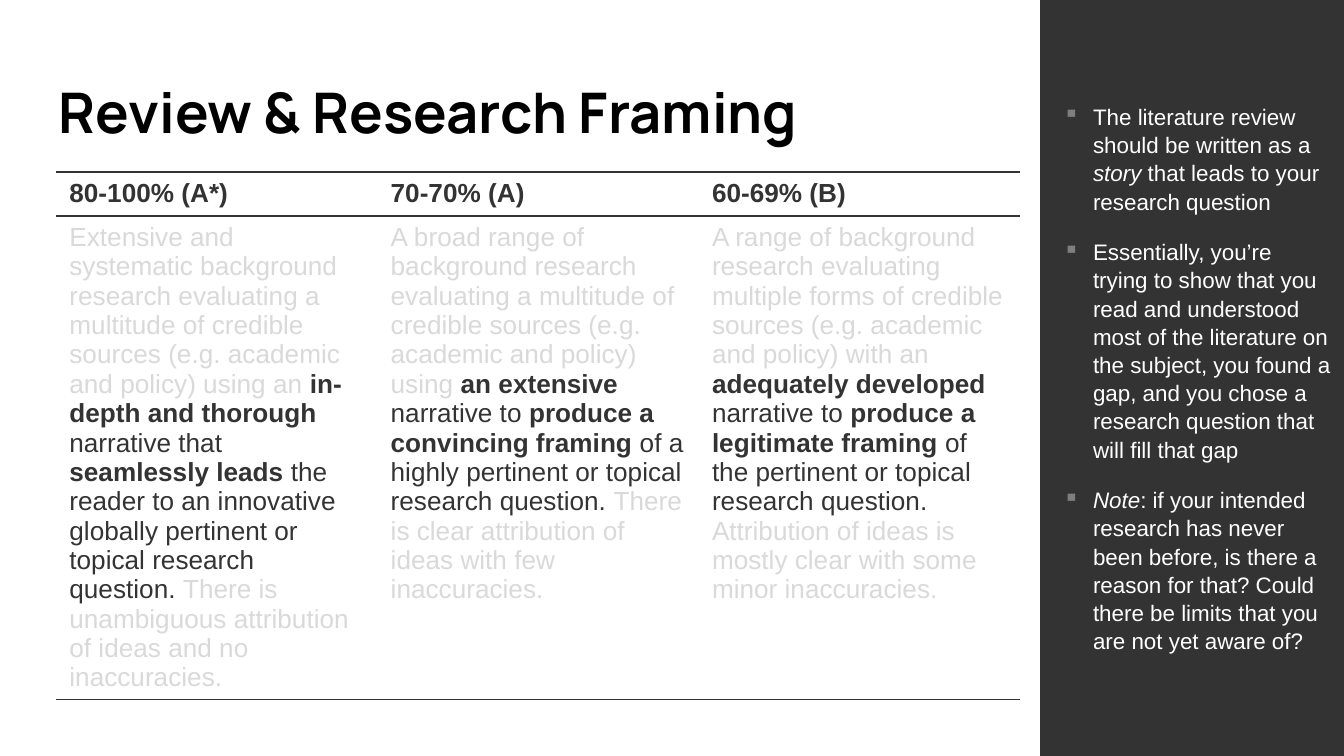
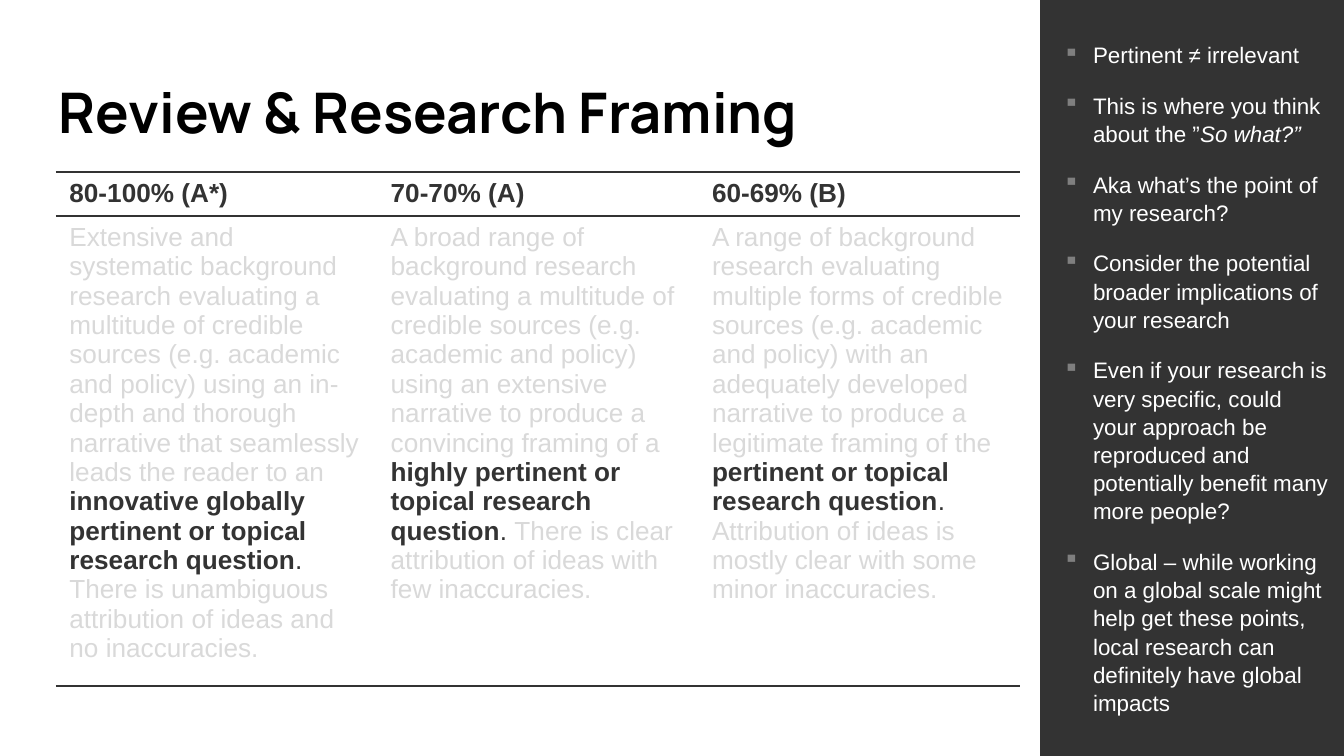
import itertools
from dataclasses import dataclass

import pptx
import pptx.dml.color
import pptx.enum.shapes
import pptx.enum.text
import pptx.oxml
import pptx.oxml.ns
import pptx.util
from lxml import etree

EMU_PER_PX = 914400 / 134.4


@dataclass(frozen=True)
class Theme:
    ink: str = "333333"
    faded: str = "D9D9D9"
    white: str = "FFFFFF"
    black: str = "000000"
    bullet: str = "7F7F7F"
    title_font: str = "Manrope"
    body_font: str = "Arial"
    title_size: int = 30
    table_size: int = 14
    note_size: int = 12


THEME = Theme()
TITLE = "Review & Research Framing"

GRADES = {
    "80-100% (A*)": [
        "Extensive and systematic background research evaluating a multitude of "
        "credible sources (e.g. academic and policy) using an ",
        "in-depth and thorough ",
        "narrative that ",
        "seamlessly leads",
        " the reader to an ",
        "innovative globally pertinent or topical research question",
        ". ",
        "There is unambiguous attribution of ideas and no inaccuracies.",
    ],
    "70-70% (A)": [
        "A broad range of background research evaluating a multitude of "
        "credible sources (e.g. academic and policy) using ",
        "an extensive ",
        "narrative to ",
        "produce a convincing framing ",
        "of a ",
        "highly pertinent or topical research question",
        ". ",
        "There is clear attribution of ideas with few inaccuracies.",
    ],
    "60-69% (B)": [
        "A range of background research evaluating multiple forms of "
        "credible sources (e.g. academic and policy) with an ",
        "adequately developed ",
        "narrative to ",
        "produce a legitimate framing ",
        "of the ",
        "pertinent or topical research question",
        ". ",
        "Attribution of ideas is mostly clear with some minor inaccuracies.",
    ],
}

FRAMING_EMPHASIS = ["faded", "bold", "plain", "bold", "plain", "plain", "plain", "faded"]
QUESTION_EMPHASIS = ["faded"] * 5 + ["bold", "plain", "faded"]

FRAMING_NOTES = [
    [("The literature review should be written as a ", False), ("story", True),
     (" that leads to your research question", False)],
    [("Essentially, you’re trying to show that you read and understood most of the "
      "literature on the subject, you found a gap, and you chose a research question "
      "that will fill that gap", False)],
    [("Note", True),
     (": if your intended research has never been before, is there a reason for that? "
      "Could there be limits that you are not yet aware of?", False)],
]

QUESTION_NOTES = [
    [("Pertinent ≠ irrelevant", False)],
    [("This is where you think about the ”", False), ("So what?”", True)],
    [("Aka what’s the point of my research?", False)],
    [("Consider the potential broader implications of your research", False)],
    [("Even if your research is very specific, could your approach be reproduced "
      "and potentially benefit many more people?", False)],
    [("Global – while working on a global scale might help get these points, local "
      "research can definitely have global impacts", False)],
]


def px(n):
    return pptx.util.Emu(round(n * EMU_PER_PX))


def rgb(color):
    return pptx.dml.color.RGBColor.from_string(color)


def set_font(font, name, size, color=None, bold=None):
    font.name = name
    font.size = pptx.util.Pt(size)
    if color:
        font.color.rgb = rgb(color)
    if bold is not None:
        font.bold = bold


def set_insets(tf, left, top, right, bottom):
    tf.margin_left, tf.margin_top = px(left), px(top)
    tf.margin_right, tf.margin_bottom = px(right), px(bottom)


def add_title(slide, text):
    sp = slide.shapes.title
    sp.left, sp.top, sp.width, sp.height = px(46), px(66), px(1253), px(91)
    tf = sp.text_frame
    tf.text = text
    tf.word_wrap = True
    tf.auto_size = pptx.enum.text.MSO_AUTO_SIZE.NONE
    tf.vertical_anchor = pptx.enum.text.MSO_ANCHOR.MIDDLE
    set_insets(tf, 13, 13, 13, 13)
    p = tf.paragraphs[0]
    p.alignment = pptx.enum.text.PP_ALIGN.LEFT
    set_font(p.font, THEME.title_font, THEME.title_size, THEME.black, True)


def style_cell(cell, ruled_sides):
    tc_pr = cell._tc.get_or_add_tcPr()
    for side in "LRTB":
        ln = etree.SubElement(tc_pr, pptx.oxml.ns.qn(f"a:ln{side}"), w="12700")
        if side in ruled_sides:
            fill = etree.SubElement(ln, pptx.oxml.ns.qn("a:solidFill"))
            etree.SubElement(fill, pptx.oxml.ns.qn("a:srgbClr"), val=THEME.ink)
        else:
            etree.SubElement(ln, pptx.oxml.ns.qn("a:noFill"))
    cell.fill.background()


def add_criterion(cell, segments, emphasis):
    p = cell.text_frame.paragraphs[0]
    set_font(p.font, THEME.body_font, THEME.table_size)
    pairs = zip(emphasis, segments)
    for style, group in itertools.groupby(pairs, key=lambda pair: pair[0]):
        r = p.add_run()
        r.text = "".join(text for _, text in group)
        r.font.bold = style == "bold"
        r.font.color.rgb = rgb(THEME.faded if style == "faded" else THEME.ink)


def add_grade_table(slide, emphasis):
    frame = slide.shapes.add_table(2, len(GRADES), px(56), px(172), px(964), px(514))
    table = frame.table
    table.first_row = table.horz_banding = False
    table.rows[0].height, table.rows[1].height = px(44), px(470)
    for col, (grade, segments) in enumerate(GRADES.items()):
        head, body = table.cell(0, col), table.cell(1, col)
        style_cell(head, "TB")
        style_cell(body, "TB")
        head.text = grade
        set_font(head.text_frame.paragraphs[0].font,
                 THEME.body_font, THEME.table_size, THEME.ink, True)
        add_criterion(body, segments, emphasis)


def add_bullet(p):
    p_pr = p._p.get_or_add_pPr()
    p_pr.set("marL", str(px(42)))
    p_pr.set("indent", str(px(-30)))
    color = etree.SubElement(p_pr, pptx.oxml.ns.qn("a:buClr"))
    etree.SubElement(color, pptx.oxml.ns.qn("a:srgbClr"), val=THEME.bullet)
    etree.SubElement(p_pr, pptx.oxml.ns.qn("a:buChar"), char="▪")


def add_sidebar(slide, notes):
    sp = slide.shapes.add_shape(pptx.enum.shapes.MSO_SHAPE.RECTANGLE,
                                px(1040), px(0), px(304), px(756))
    sp.shadow.inherit = False
    sp.fill.solid()
    sp.fill.fore_color.rgb = rgb(THEME.ink)
    sp.line.fill.background()
    tf = sp.text_frame
    tf.word_wrap = True
    tf.vertical_anchor = pptx.enum.text.MSO_ANCHOR.MIDDLE
    set_insets(tf, 11, 7, 13, 7)
    for i, note in enumerate(notes):
        p = tf.add_paragraph() if i else tf.paragraphs[0]
        add_bullet(p)
        p.alignment = pptx.enum.text.PP_ALIGN.LEFT
        p.line_spacing = 1.05
        p.space_after = pptx.util.Pt(12)
        set_font(p.font, THEME.body_font, THEME.note_size, THEME.white)
        for text, italic in note:
            r = p.add_run()
            r.text = text
            if italic:
                r.font.italic = True


def add_grading_slide(prs, emphasis, notes):
    slide = prs.slides.add_slide(prs.slide_layouts[5])
    add_title(slide, TITLE)
    add_grade_table(slide, emphasis)
    add_sidebar(slide, notes)


def main():
    prs = pptx.Presentation()
    prs.slide_width, prs.slide_height = px(1344), px(756)
    add_grading_slide(prs, FRAMING_EMPHASIS, FRAMING_NOTES)
    add_grading_slide(prs, QUESTION_EMPHASIS, QUESTION_NOTES)
    prs.save("out.pptx")


if __name__ == "__main__":
    main()
